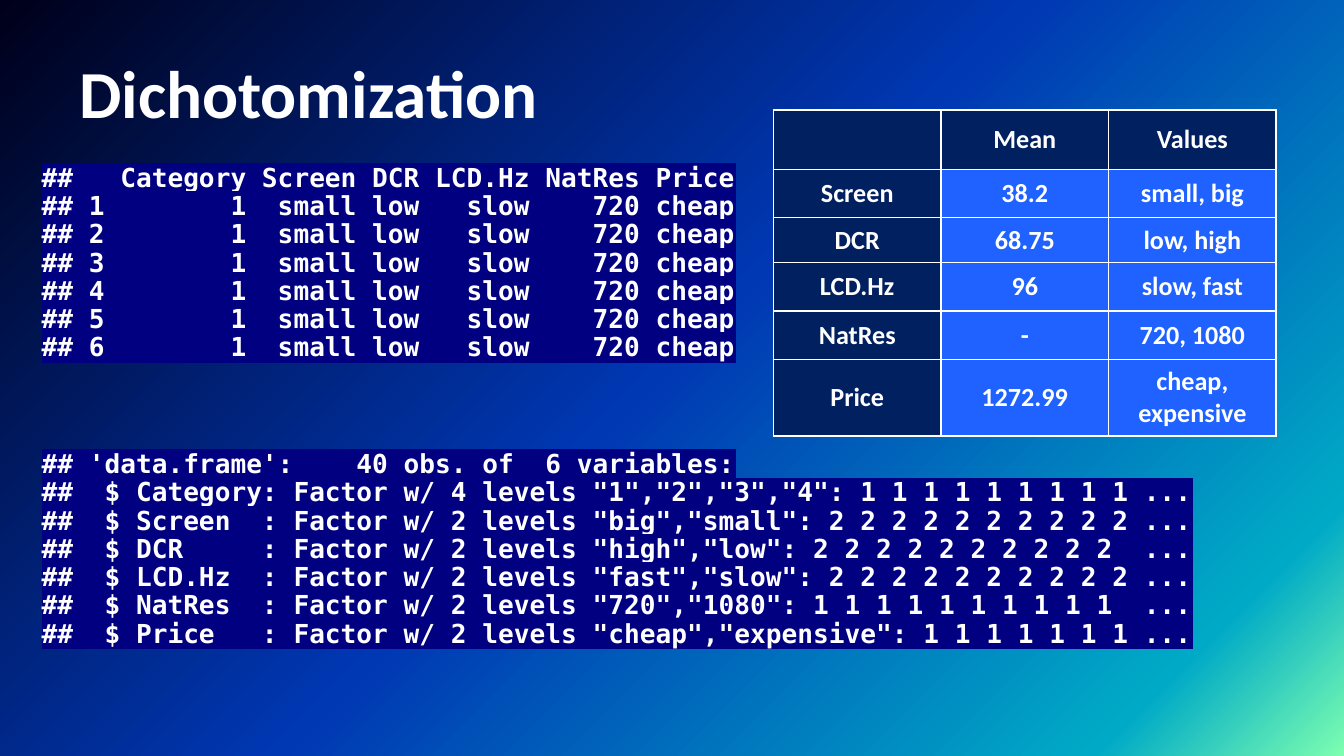
from copy import deepcopy
from dataclasses import dataclass

from lxml import etree
from pptx import Presentation, util as u
from pptx.dml.color import RGBColor
from pptx.enum import text as t
from pptx.oxml import ns


@dataclass(frozen=True)
class Theme:
    white: str = "FFFFFF"
    navy: str = "002060"
    blue: str = "1F62FF"
    mark: str = "000080"
    glow: tuple = ((0, "7DFFB1"), (0.12, "00AAC6"), (0.51, "0037B3"), (1, "00001A"))
    sans: str = "Calibri"
    mono: str = "DejaVu Sans Mono"
    head: int = 36
    body: int = 14


def color(parent, tag, rgb):
    """Append a tag that holds one RGB colour."""
    node = etree.SubElement(parent, ns.qn(tag))
    etree.SubElement(node, ns.qn("a:srgbClr"), val=rgb)
    return node


def write(para, text, *, font, size, rgb, mark=None):
    """Write bold text, one run per line, with line breaks between."""
    for i, line in enumerate(text.split("\n")):
        if i:
            para.add_line_break()
            gap = para._p[-1]
        run = para.add_run()
        run.text = line
        run.font.name, run.font.size, run.font.bold = font, u.Pt(size), True
        run.font.color.rgb = RGBColor.from_string(rgb)
        props = run.font._element
        if mark:
            fill = props.find(ns.qn("a:solidFill"))
            fill.addnext(color(props, "a:highlight", mark))
        if i:
            gap.insert(0, deepcopy(props))


class Deck:
    """Style and current slide; the grid has 100 columns and square cells."""

    def __init__(self, theme):
        self.theme = theme
        self.file = Presentation()
        self.file.slide_width = u.Inches(10)
        self.file.slide_height = self.file.slide_width * 9 // 16
        self.unit = self.file.slide_width / 100
        self.slide = self.file.slides.add_slide(self.file.slide_layouts[6])

    def grid(self, *cells):
        return [u.Emu(round(n * self.unit)) for n in cells]

    def back(self):
        fill = self.slide.background.fill
        fill.gradient()
        fill.gradient_angle = 135
        stops = next(self.slide.element.iter(ns.qn("a:gsLst")))
        while len(stops) < len(self.theme.glow):
            stops.append(deepcopy(stops[0]))
        for stop, (place, rgb) in zip(fill.gradient_stops, self.theme.glow):
            stop.position = place
            stop.color.rgb = RGBColor.from_string(rgb)

    def box(self, area, anchor=t.MSO_ANCHOR.TOP):
        frame = self.slide.shapes.add_textbox(*self.grid(*area)).text_frame
        frame.word_wrap = True
        frame.vertical_anchor = anchor
        frame.margin_left = frame.margin_right = 0
        frame.margin_top = frame.margin_bottom = 0
        return frame

    def title(self, text, area):
        th = self.theme
        frame = self.box(area, t.MSO_ANCHOR.BOTTOM)
        write(frame.paragraphs[0], text, font=th.sans, size=th.head, rgb=th.white)

    def code(self, blocks, area, gap):
        th = self.theme
        frame = self.box(area)
        for i, block in enumerate(blocks):
            para = frame.add_paragraph() if i else frame.paragraphs[0]
            para.line_spacing = 0.9
            para.space_before = u.Pt(gap if i else 0)
            write(para, block, font=th.mono, size=th.body, rgb=th.white, mark=th.mark)

    def table(self, data, spot, cols, rows):
        area = self.grid(*spot, sum(cols), sum(rows))
        table = self.slide.shapes.add_table(len(rows), len(cols), *area).table
        for col, width in zip(table.columns, self.grid(*cols)):
            col.width = width
        for row, height in zip(table.rows, self.grid(*rows)):
            row.height = height
        for r, line in enumerate(data):
            for c, text in enumerate(line):
                self.cell(table.cell(r, c), text, dark=r == 0 or c == 0)

    def cell(self, cell, text, dark):
        th = self.theme
        cell.vertical_anchor = t.MSO_ANCHOR.MIDDLE
        para = cell.text_frame.paragraphs[0]
        para.alignment = t.PP_ALIGN.CENTER
        if text:
            write(para, text, font=th.sans, size=th.body, rgb=th.white)
        # Borders come before the fill
        props = cell._tc.get_or_add_tcPr()
        for edge in "LRTB":
            line = etree.SubElement(props, ns.qn("a:ln" + edge), w=str(u.Pt(1)))
            color(line, "a:solidFill", th.white)
        cell.fill.solid()
        cell.fill.fore_color.rgb = RGBColor.from_string(th.navy if dark else th.blue)


# Console output
HEAD = "\n".join(
    ["##   Category Screen DCR LCD.Hz NatRes Price"]
    + [f"## {n}        1  small low   slow    720 cheap" for n in range(1, 7)]
)
FACTORS = [
    ("Category", 4, '"1","2","3","4"', "1 1 1 1 1 1 1 1 1"),
    ("Screen", 2, '"big","small"', "2 2 2 2 2 2 2 2 2 2"),
    ("DCR", 2, '"high","low"', "2 2 2 2 2 2 2 2 2 2 "),
    ("LCD.Hz", 2, '"fast","slow"', "2 2 2 2 2 2 2 2 2 2"),
    ("NatRes", 2, '"720","1080"', "1 1 1 1 1 1 1 1 1 1 "),
    ("Price", 2, '"cheap","expensive"', "1 1 1 1 1 1 1"),
]
FRAME = "\n".join(
    ["## 'data.frame':    40 obs. of  6 variables:"]
    + [f"##  $ {name:<8}: Factor w/ {n} levels {names}: {codes} ..."
       for name, n, names, codes in FACTORS]
)

# Split points
SPLITS = [
    ("", "Mean", "Values"),
    ("Screen", "38.2", "small, big"),
    ("DCR", "68.75", "low, high"),
    ("LCD.Hz", "96", "slow, fast"),
    ("NatRes", "-", "720, 1080"),
    ("Price", "1272.99", "cheap, expensive"),
]


def main():
    deck = Deck(Theme())
    deck.back()
    deck.title("Dichotomization", (5.9, 0.45, 45, 9.4))
    deck.code([HEAD, FRAME], (3.1, 12.25, 93.7, 40.2), gap=47.5)
    deck.table(SPLITS, (57.55, 8.2), [12.47] * 3, [4.4, 3.6, 3.35, 3.6, 3.6, 5.7])
    deck.file.save("out.pptx")


if __name__ == "__main__":
    main()
